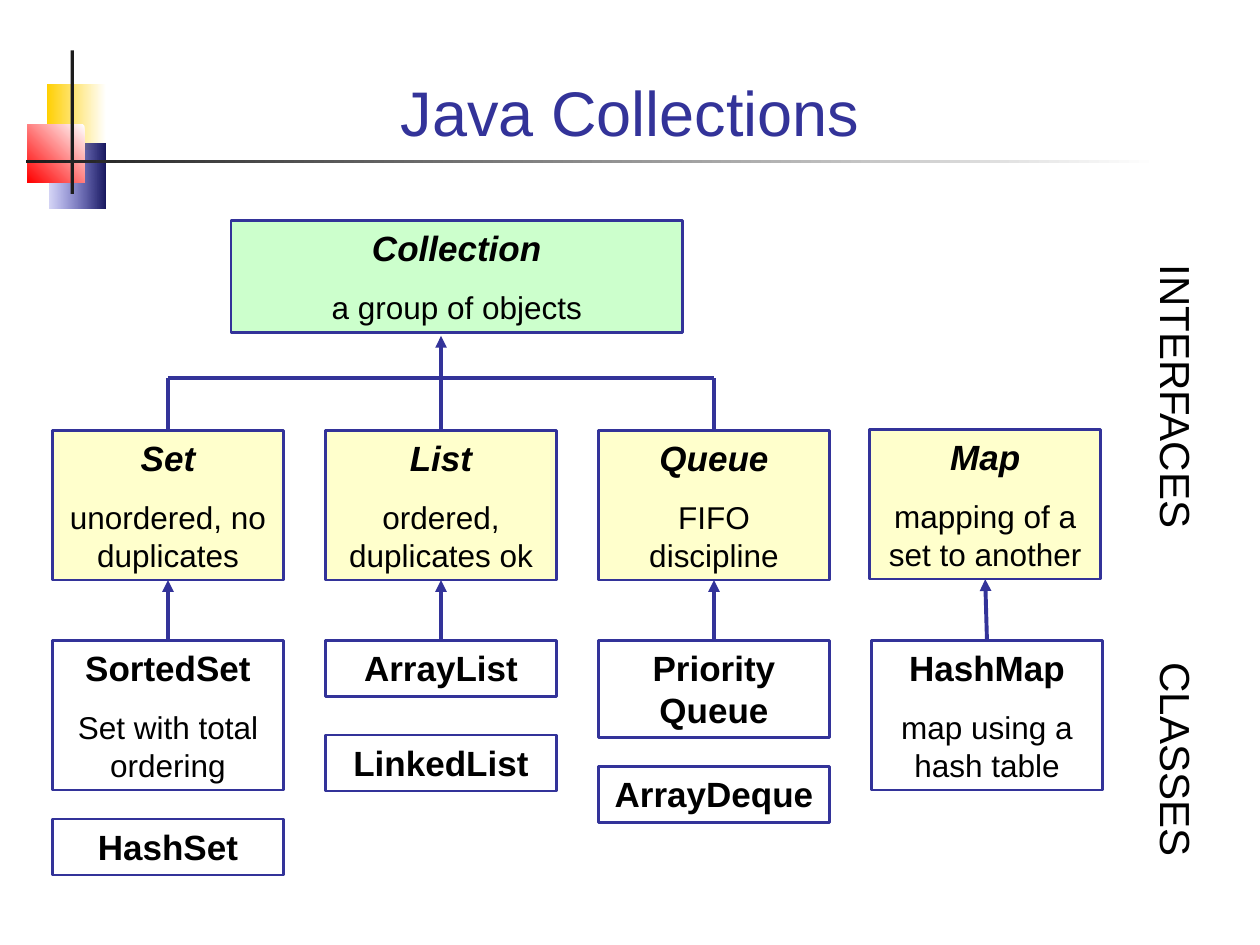
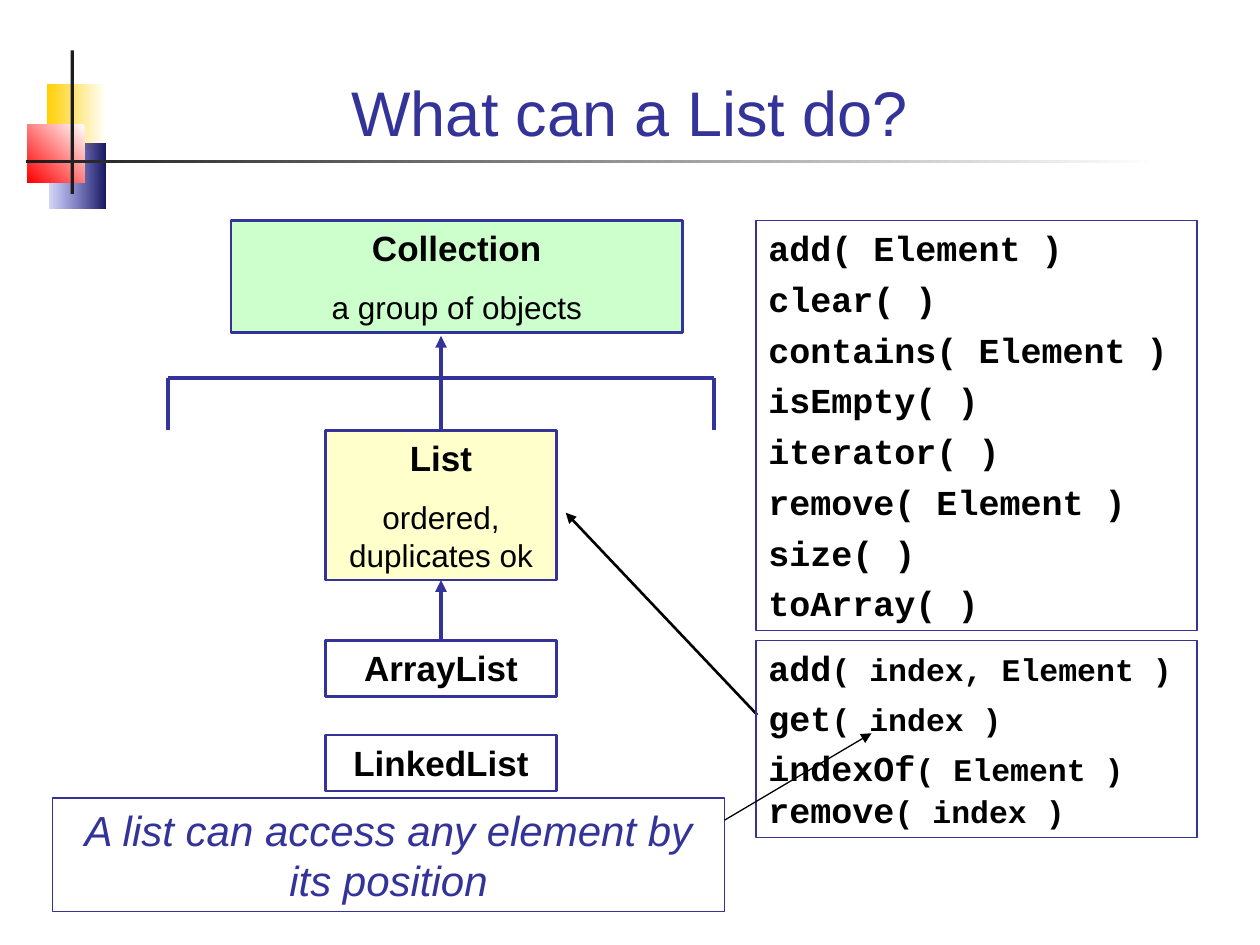
from dataclasses import dataclass
from typing import Optional

from pptx import Presentation
from pptx import util as u
from pptx.dml import color
from pptx.enum import shapes, text
from pptx.oxml import ns, xmlchemy

COLORS = {
    "indigo": "333399", "black": "000000", "ink": "1C1C1C", "white": "FFFFFF",
    "green": "CCFFCC", "cream": "FFFFCC", "yellow": "FFCF01", "red": "FF0000",
    "navy": "17175E", "blue": "3333CC",
}
SANS, MONO = "Arial", "Courier New"
CARD_W, TALL, SHORT = 132, 85.5, 32
COLUMNS = [30 + 156 * i for i in range(4)]
INTERFACE_TOP, CLASS_TOP, BUS_Y = 246, 366, 216
LEFT, CENTER = text.PP_ALIGN.LEFT, text.PP_ALIGN.CENTER


@dataclass(frozen=True)
class Frame:
    left: float
    top: float
    width: float
    height: float

    def lengths(self) -> list:
        return [u.Pt(v) for v in (self.left, self.top, self.width, self.height)]


@dataclass(frozen=True)
class Run:
    words: str
    size: float
    bold: bool = False
    italic: bool = False
    font: str = SANS
    ink: str = "black"


@dataclass(frozen=True)
class Card:
    name: str
    frame: Frame
    note: str = ""
    fill: Optional[str] = None


@dataclass(frozen=True)
class Ornament:
    frame: Frame
    start: str
    end: str
    angle: float = 180
    end_alpha: int = 100


ORNAMENTS = [
    Ornament(Frame(26.6, 48.2, 34, 37.4), "white", "yellow"),
    Ornament(Frame(28.1, 82, 32.4, 37.4), "navy", "blue", end_alpha=20),
    Ornament(Frame(15.8, 71.3, 32.4, 33.1), "white", "red", angle=225),
    Ornament(Frame(40.3, 28.8, 1.9, 82), "ink", "ink"),
    Ornament(Frame(15, 91.4, 647, 1.9), "white", "ink"),
]


def interface(name: str, column: int, note: str) -> Card:
    return Card(name, Frame(COLUMNS[column], INTERFACE_TOP, CARD_W, TALL), note, "cream")


def concrete(name: str, column: int, top: float = CLASS_TOP,
             height: float = SHORT, note: str = "") -> Card:
    return Card(name, Frame(COLUMNS[column], top, CARD_W, height), note)


COLLECTION = Card("Collection", Frame(132, 126, 258, 64), "a group of objects", "green")
LIST = interface("List", 1, "ordered, duplicates ok")
ARRAY_LIST = concrete("ArrayList", 1)
LINKED_LIST = concrete("LinkedList", 1, 420)
FAMILIES = [
    (interface("Set", 0, "unordered, no duplicates"),
     concrete("SortedSet", 0, height=TALL, note="Set with total ordering")),
    (LIST, ARRAY_LIST),
    (interface("Queue", 2, "FIFO discipline"),
     concrete("Priority Queue", 2, height=55.5)),
    (Card("Map", Frame(497, 245.5, CARD_W, TALL), "mapping of a set to another", "cream"),
     concrete("HashMap", 3, height=TALL, note="map using a hash table")),
]
OTHER_CLASSES = [LINKED_LIST, concrete("ArrayDeque", 2, 438), concrete("HashSet", 0, 468)]
COLLECTION_METHODS = ["add( Element )", "clear( )", "contains( Element )", "isEmpty( )",
                      "iterator( )", "remove( Element )", "size( )", "toArray( )"]
LIST_METHODS = [
    [("add", "( index, Element )")],
    [("get", "( index )")],
    [("indexOf", "( Element ) "), ("remove", "( index )")],
]


def rgb(name: str) -> color.RGBColor:
    return color.RGBColor.from_string(COLORS[name])


def write(tf, paragraphs: list, align, gap: float = 0,
          anchor=text.MSO_ANCHOR.TOP) -> None:
    tf.word_wrap = True
    tf.vertical_anchor = anchor
    for i, runs in enumerate(paragraphs):
        p = tf.add_paragraph() if i else tf.paragraphs[0]
        p.alignment = align
        p.space_before = u.Pt(gap if i else 0)
        for run in runs:
            r = p.add_run()
            r.text = run.words
            r.font.size = u.Pt(run.size)
            r.font.name = run.font
            r.font.bold = run.bold
            r.font.italic = run.italic
            r.font.color.rgb = rgb(run.ink)


def add_rect(s, frame: Frame):
    sp = s.shapes.add_shape(shapes.MSO_SHAPE.RECTANGLE, *frame.lengths())
    sp.shadow.inherit = False
    return sp


def add_box(s, frame: Frame, paragraphs: list, align=CENTER, gap: float = 0,
            fill: Optional[str] = None, weight: float = 0.75):
    sp = add_rect(s, frame)
    if fill:
        sp.fill.solid()
        sp.fill.fore_color.rgb = rgb(fill)
    else:
        sp.fill.background()
    sp.line.color.rgb = rgb("indigo")
    sp.line.width = u.Pt(weight)
    write(sp.text_frame, paragraphs, align, gap)
    return sp


def add_card(s, card: Card, italic: bool = False):
    paragraphs = [[Run(card.name, 20, bold=True, italic=italic)]]
    if card.note:
        paragraphs.append([Run(card.note, 18)])
    return add_box(s, card.frame, paragraphs, gap=11.2, fill=card.fill, weight=1.5)


def add_line(s, start: tuple, end: tuple, arrow: bool = False,
             ink: str = "indigo", weight: float = 2.25):
    line = s.shapes.add_connector(shapes.MSO_CONNECTOR.STRAIGHT,
                                  *[u.Pt(v) for v in (*start, *end)])
    line.line.color.rgb = rgb(ink)
    line.line.width = u.Pt(weight)
    if arrow:
        tail = xmlchemy.OxmlElement("a:tailEnd")
        tail.set("type", "triangle")
        line.line._get_or_add_ln().append(tail)
    line._element.spPr.append(xmlchemy.OxmlElement("a:effectLst"))
    return line


def add_inheritance(s, child, parent) -> None:
    line = add_line(s, (0, 0), (0, 0), arrow=True)
    line.begin_connect(child, 0)
    line.end_connect(parent, 2)


def add_bus(s, interfaces: dict) -> None:
    centers = [left + CARD_W / 2 for left in COLUMNS[:3]]
    add_line(s, (centers[0], BUS_Y), (centers[-1], BUS_Y))
    add_line(s, (centers[1], BUS_Y), (centers[1], 192), arrow=True)
    for column, x in enumerate(centers):
        drop = add_line(s, (x, BUS_Y), (x, INTERFACE_TOP))
        if column in interfaces:
            drop.end_connect(interfaces[column], 0)


def add_ornament(s, ornament: Ornament) -> None:
    sp = add_rect(s, ornament.frame)
    sp.line.fill.background()
    if ornament.start == ornament.end:
        sp.fill.solid()
        sp.fill.fore_color.rgb = rgb(ornament.start)
        return
    sp.fill.gradient()
    sp.fill.gradient_angle = ornament.angle
    for stop, name, position in zip(sp.fill.gradient_stops,
                                    (ornament.start, ornament.end), (0, 1)):
        stop.color.rgb = rgb(name)
        stop.position = position
    if ornament.end_alpha < 100:
        alpha = xmlchemy.OxmlElement("a:alpha")
        alpha.set("val", str(ornament.end_alpha * 1000))
        list(sp._element.spPr.iter(ns.qn("a:srgbClr")))[-1].append(alpha)


def add_slide(prs, title: str):
    s = prs.slides.add_slide(prs.slide_layouts[6])
    for ornament in ORNAMENTS:
        add_ornament(s, ornament)
    sp = s.shapes.add_textbox(*Frame(48, 20.2, 624, 68.4).lengths())
    write(sp.text_frame, [[Run(title, 36, ink="indigo")]], CENTER,
          anchor=text.MSO_ANCHOR.BOTTOM)
    return s


def add_side_label(s, words: str, frame: Frame) -> None:
    sp = s.shapes.add_textbox(*frame.lengths())
    sp.rotation = 90
    write(sp.text_frame, [[Run(words, 24)]], LEFT)


def build_overview(prs) -> None:
    s = add_slide(prs, "Java Collections")
    add_card(s, COLLECTION, italic=True)
    pairs = [(add_card(s, parent, italic=True), add_card(s, child))
             for parent, child in FAMILIES]
    for card in OTHER_CLASSES:
        add_card(s, card)
    add_bus(s, {i: pairs[i][0] for i in range(3)})
    for parent, child in pairs:
        add_inheritance(s, child, parent)
    add_side_label(s, "INTERFACES", Frame(579.6, 218.9, 185.8, 36))
    add_side_label(s, "CLASSES", Frame(603.4, 422.6, 138.2, 36))


def build_list_methods(prs) -> None:
    s = add_slide(prs, "What can a List do?")
    add_card(s, COLLECTION)
    parent = add_card(s, LIST)
    child = add_card(s, ARRAY_LIST)
    add_card(s, LINKED_LIST)
    add_bus(s, {1: parent})
    add_inheritance(s, child, parent)
    add_box(s, Frame(432, 126, 252, 234.5),
            [[Run(m, 20, bold=True, font=MONO)] for m in COLLECTION_METHODS],
            LEFT, gap=5)
    add_line(s, (432.7, 408.5), (323.3, 293), arrow=True, ink="black", weight=1.5)
    add_box(s, Frame(30, 456, 384, 64.8),
            [[Run("A list can access any element by its position", 24,
                  italic=True, ink="indigo")]])
    add_box(s, Frame(432, 366, 252, 112.5),
            [[Run(words, size, bold=True, font=MONO)
              for method in methods for words, size in zip(method, (20, 18))]
             for methods in LIST_METHODS],
            LEFT, gap=4.5)
    add_line(s, (414, 468.7), (498, 419), arrow=True, ink="black", weight=0.75)


def main() -> None:
    prs = Presentation()
    prs.slide_width, prs.slide_height = u.Pt(720), u.Pt(540)
    build_overview(prs)
    build_list_methods(prs)
    prs.save("out.pptx")


if __name__ == "__main__":
    main()
